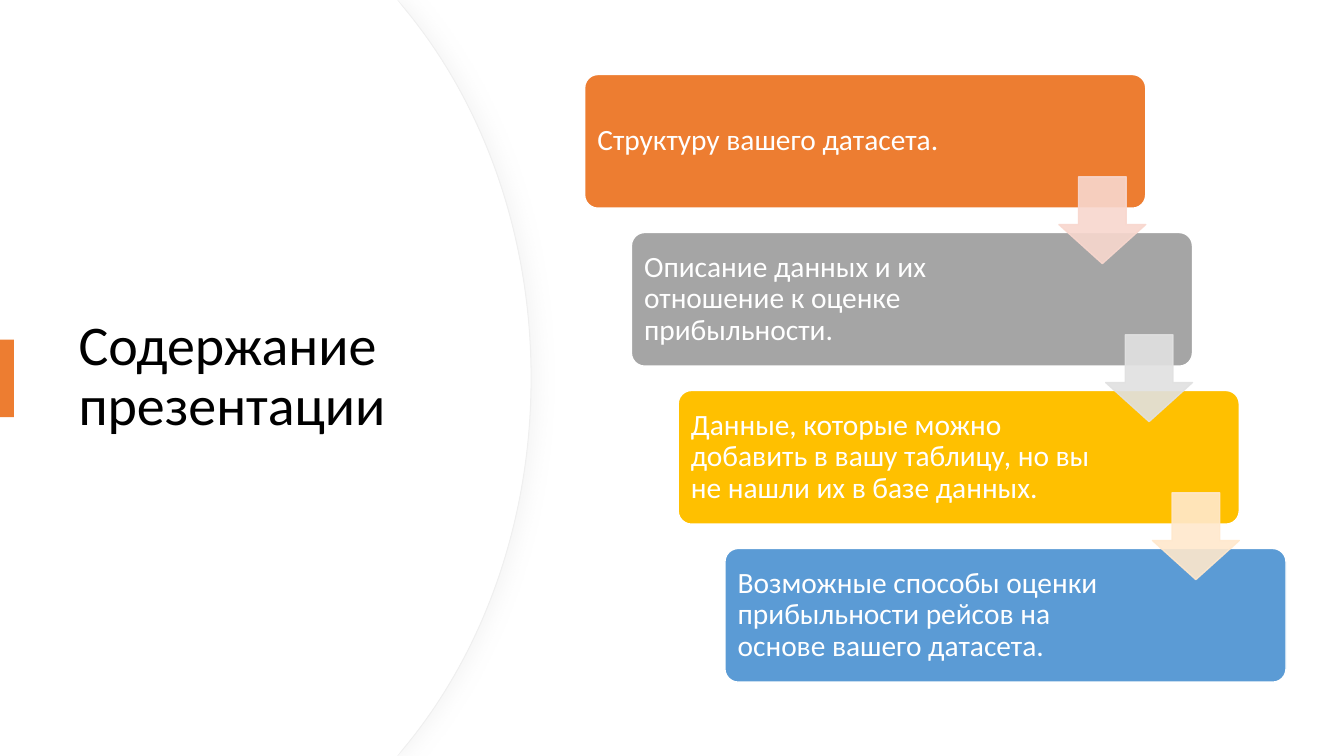
from lxml import etree
from pptx import Presentation
from pptx.dml.color import RGBColor
from pptx.enum.shapes import MSO_SHAPE
from pptx.enum.text import MSO_ANCHOR
from pptx.oxml.ns import qn
from pptx.util import Pt

RECT = MSO_SHAPE.RECTANGLE
ROUND = MSO_SHAPE.ROUNDED_RECTANGLE
ARROW = MSO_SHAPE.DOWN_ARROW
MIDDLE = MSO_ANCHOR.MIDDLE

WHITE = "FFFFFF"
ORANGE = "ED7D31"


def color(text):
    return RGBColor.from_string(text)


def node(parent, tag, **values):
    return etree.SubElement(parent, qn(tag), {k: str(v) for k, v in values.items()})


class Deck:
    def __init__(self, wide, high):
        self.show = Presentation()
        self.show.slide_width, self.show.slide_height = Pt(wide), Pt(high)
        self.slide = self.show.slides.add_slide(self.show.slide_layouts[6])
        self.home = self.slide.shapes
        self.font = "Calibri"

    def group(self):
        self.home = self.slide.shapes.add_group_shape().shapes

    def paint(self, shape, fill, line=None, width=1, alpha=100):
        shape.shadow.inherit = False
        shape.fill.solid()
        shape.fill.fore_color.rgb = color(fill)
        if line:
            shape.line.color.rgb = color(line)
            shape.line.width = Pt(width)
        else:
            shape.line.fill.background()
        if alpha < 100:
            for tone in shape._element.spPr.iter(qn("a:srgbClr")):
                node(tone, "a:alpha", val=alpha * 1000)
        return shape

    def shape(self, kind, box, fill, adjust=(), **look):
        item = self.home.add_shape(kind, *map(Pt, box))
        for i, value in enumerate(adjust):
            item.adjustments[i] = value
        return self.paint(item, fill, **look)

    def outline(self, points, bends, fill, **look):
        first, *rest = [(Pt(x), Pt(y)) for x, y in points]
        pen = self.home.build_freeform(*first)
        pen.add_line_segments(rest, close=True)
        item = pen.convert_to_shape()
        lines = list(item._element.spPr.iter(qn("a:lnTo")))
        for at in bends:
            curve = etree.Element(qn("a:cubicBezTo"))
            lines[at].addprevious(curve)
            for line in lines[at:at + 3]:
                curve.append(line[0])
                line.getparent().remove(line)
        return self.paint(item, fill, **look)

    def shade(self, shape, tone, alpha, blur, dist):
        effect = shape._element.spPr.find(qn("a:effectLst"))
        outer = node(effect, "a:outerShdw", blurRad=Pt(blur), dist=Pt(dist), dir=0)
        node(node(outer, "a:srgbClr", val=tone), "a:alpha", val=alpha * 1000)

    def text(self, words, box, size, tone, inset):
        frame = self.home.add_textbox(*map(Pt, box)).text_frame
        across, down = map(Pt, inset)
        style = {
            "word_wrap": True,
            "vertical_anchor": MIDDLE,
            "margin_left": across,
            "margin_right": across,
            "margin_top": down,
            "margin_bottom": down,
        }
        for name, value in style.items():
            setattr(frame, name, value)
        part = frame.paragraphs[0]
        part.line_spacing = 0.9
        run = part.add_run()
        run.text = words
        for name, value in {"name": self.font, "size": Pt(size)}.items():
            setattr(run.font, name, value)
        run.font.color.rgb = color(tone)


WIDE, HIGH = 960, 540
BENDS = [2, 5]
deck = Deck(WIDE, HIGH)


def panel(shift):
    edge = [(288.7, 5.8), (344.9, 73.4), (379.4, 167), (379.4, HIGH / 2)]
    half = [(0, 0), (283.7, 0), *((x - shift, y) for x, y in edge)]
    return half + [(x, HIGH - y) for x, y in reversed(half[:-1])]


rim = deck.outline(panel(0), BENDS, WHITE, line="EFEFEF", width=0.75)
deck.shade(rim, "D9D9D9", 25, 14, 4)
deck.outline(panel(0.7), BENDS, WHITE)
deck.text("Содержание презентации", (49, 91.2, 284, 356.5), 40, "000000", (7.2, 3.6))
deck.shape(RECT, (0, 242.6, 10, 55.4), ORANGE)

STEPS = [
    ("Структуру вашего датасета.", ORANGE, 289.5),
    ("Описание данных и их отношение к оценке прибыльности.", "A5A5A5", 300),
    ("Данные, которые можно добавить в вашу таблицу, но вы не нашли их в базе данных.",
     "FFC000", 300),
    ("Возможные способы оценки прибыльности рейсов на основе вашего датасета.",
     "5B9BD5", 300),
]
ARROWS = ["F8D7CE", "E1E1E1", "FFE8CC"]
LEFT, TOP = 417.6, 53.2
RIGHT, DOWN = 33.4, 112.85
PAD = 2.8

deck.group()
for i, (words, fill, wide) in enumerate(STEPS):
    x, y = LEFT + i * RIGHT, TOP + i * DOWN
    deck.shape(ROUND, (x, y, 400.8, 95.5), fill, [0.1], line=WHITE)
    deck.text(words, (x + PAD, y + PAD, wide, 90), 21, WHITE, (6.3, 6.3))
for i, fill in enumerate(ARROWS):
    box = (756.4 + i * RIGHT, 126.3 + i * DOWN, 62, 62)
    deck.shape(ARROW, box, fill, [0.55, 0.45], line=fill, alpha=90)

deck.show.save("out.pptx")
